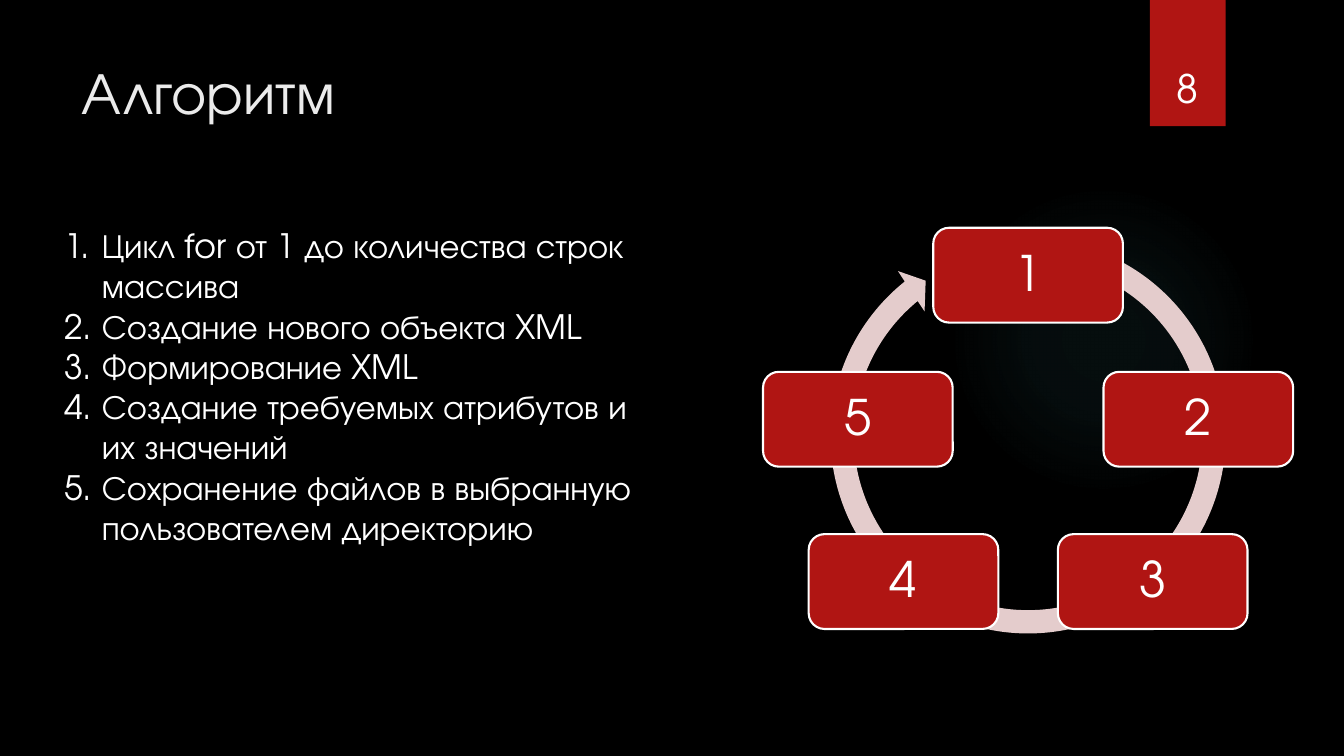
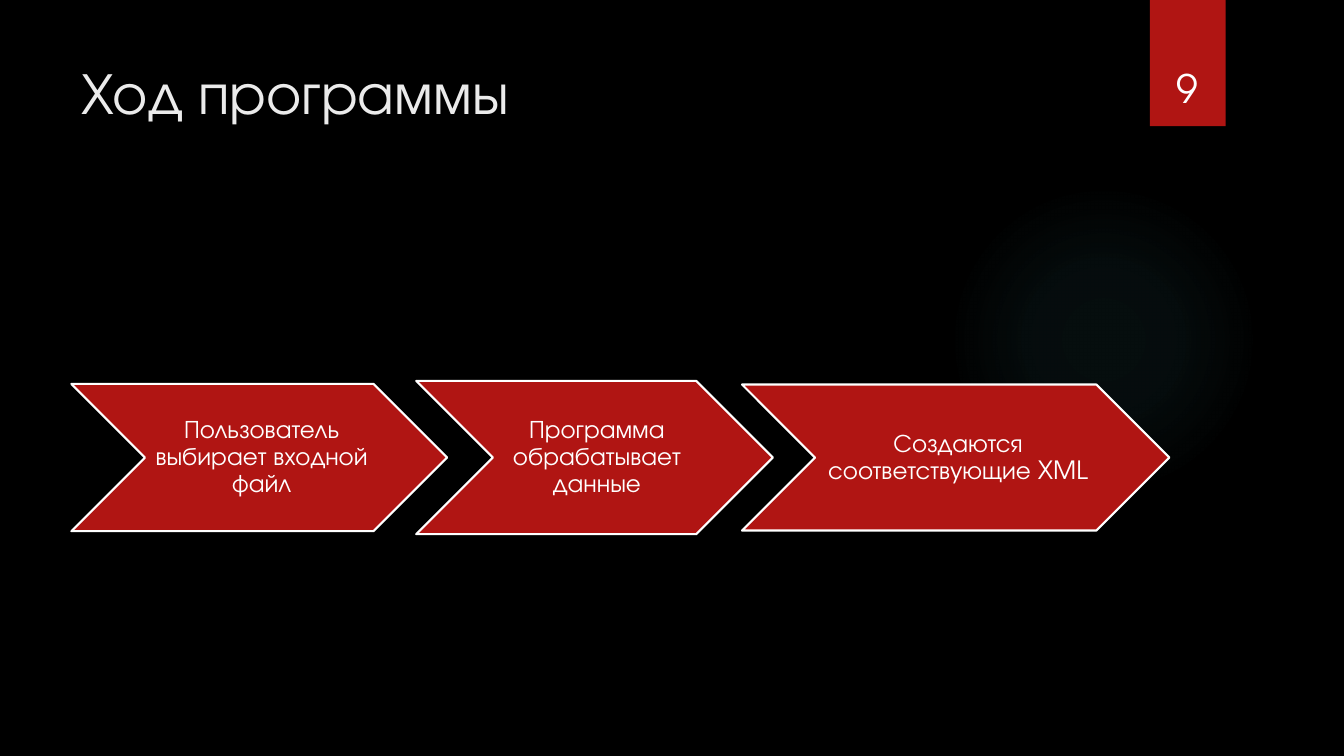
from pptx import Presentation
from pptx.dml.color import RGBColor
from pptx.enum.shapes import MSO_SHAPE as Shape
from pptx.enum.text import MSO_ANCHOR as Anchor, MSO_AUTO_SIZE as AutoSize, PP_ALIGN as Align
from pptx.oxml import parse_xml
from pptx.oxml.ns import nsdecls
from pptx.util import Cm, Pt

FONT = "TeX Gyre Adventor"
COLORS = {
    "background": "000000",
    "title": "EBEBEB",
    "text": "FFFFFF",
    "accent": "B01513",
    "ring": "E4CCCC",
    "glow": "50B9C1",
}
GLOW_STOPS = [(0, 7), (36, 6), (69, 0)]  # position and opacity, in percent

ALGORITHM_STEPS = [
    "Цикл for от 1 до количества строк массива",
    "Создание нового объекта XML",
    "Формирование XML",
    "Создание требуемых атрибутов и их значений",
    "Сохранение файлов в выбранную пользователем директорию",
]
CYCLE_AXIS = 25.91
CYCLE_NODES = [(0, 5.74), (4.29, 9.37), (3.14, 13.46), (-3.14, 13.46), (-4.29, 9.37)]
NODE_WIDTH, NODE_HEIGHT = 4.78, 2.39
RING_SIZE, RING_TOP = 10.59, 5.69
RING_ADJUSTMENTS = [0.05544, 3.3068, 138.638, 173.327, 0.05757]

PROGRAM_STAGES = [
    ("Пользователь выбирает входной файл", 9.47, 3.71),
    ("Программа обрабатывает данные", 8.99, 3.86),
    ("Создаются соответствующие XML", 10.77, 3.68),
]
STAGES_LEFT, STAGES_MIDDLE, STAGE_OVERLAP = 1.8, 11.53, 0.78


def color(name):
    return RGBColor.from_string(COLORS[name])


def add_span(para, text, size, color_name="text"):
    span = para.add_run()
    span.text = text
    span.font.name = FONT
    span.font.size = Pt(size)
    span.font.color.rgb = color(color_name)


def add_panel(page, kind, left, top, width, height, fill=None, outlined=False):
    """Add a preset shape without shadow; a fill of None leaves it to the caller."""
    panel = page.shapes.add_shape(kind, Cm(left), Cm(top), Cm(width), Cm(height))
    panel.shadow.inherit = False
    if fill:
        panel.fill.solid()
        panel.fill.fore_color.rgb = color(fill)
    if outlined:
        panel.line.color.rgb = color("text")
        panel.line.width = Pt(1.5)
    else:
        panel.line.fill.background()
    return panel


def add_label(panel, text, size, left_inset, inset):
    frame = panel.text_frame
    frame.word_wrap = True
    frame.vertical_anchor = Anchor.MIDDLE
    frame.margin_left = Cm(left_inset)
    frame.margin_right = frame.margin_top = frame.margin_bottom = Cm(inset)
    para = frame.paragraphs[0]
    para.alignment = Align.CENTER
    para.line_spacing = 0.9
    add_span(para, text, size)


def add_text_box(page, left, top, width, height):
    box = page.shapes.add_textbox(Cm(left), Cm(top), Cm(width), Cm(height))
    box.text_frame.word_wrap = True
    return box.text_frame


def add_glow(page):
    glow = add_panel(page, Shape.OVAL, 23.9, 4.65, 7.82, 7.82)
    stops = "".join(
        f'<a:gs pos="{position * 1000}"><a:srgbClr val="{COLORS["glow"]}">'
        f'<a:alpha val="{opacity * 1000}"/></a:srgbClr></a:gs>'
        for position, opacity in GLOW_STOPS
    )
    gradient = parse_xml(
        f'<a:gradFill {nsdecls("a")} rotWithShape="1"><a:gsLst>{stops}</a:gsLst>'
        '<a:path path="circle"><a:fillToRect l="50000" t="50000" r="50000" b="50000"/>'
        "</a:path></a:gradFill>"
    )
    glow._element.spPr.prstGeom.addnext(gradient)


def add_title(page, text):
    title = page.shapes.title
    title.left, title.top, title.width, title.height = Cm(1.8), Cm(1.27), Cm(26.14), Cm(3.89)
    frame = title.text_frame
    frame.auto_size = AutoSize.NONE
    frame.vertical_anchor = Anchor.TOP
    para = frame.paragraphs[0]
    para.alignment = Align.LEFT
    add_span(para, text, 42, "title")


def add_page_number(page, number):
    add_panel(page, Shape.RECTANGLE, 28.98, 0, 1.91, 3.18, "accent")
    frame = add_text_box(page, 28.75, 0.81, 2.34, 2.13)
    frame.vertical_anchor = Anchor.BOTTOM
    para = frame.paragraphs[0]
    para.alignment = Align.CENTER
    add_span(para, str(number), 28)


def add_page(deck, title, number):
    page = deck.slides.add_slide(deck.slide_layouts[5])
    add_glow(page)
    add_title(page, title)
    add_page_number(page, number)
    return page


def add_numbered_list(page, items):
    frame = add_text_box(page, 1.37, 5.54, 15.16, 9.5)
    for index, item in enumerate(items):
        para = frame.add_paragraph() if index else frame.paragraphs[0]
        properties = para._p.get_or_add_pPr()
        properties.set("marL", str(Cm(0.95)))
        properties.set("indent", str(-Cm(0.95)))
        properties.append(parse_xml(f'<a:buAutoNum {nsdecls("a")} type="arabicPeriod"/>'))
        add_span(para, item, 24)


def add_cycle(page):
    ring = add_panel(page, Shape.CIRCULAR_ARROW, CYCLE_AXIS - RING_SIZE / 2, RING_TOP,
                     RING_SIZE, RING_SIZE, "ring")
    for index, value in enumerate(RING_ADJUSTMENTS):
        ring.adjustments[index] = value
    for number, (offset, top) in enumerate(CYCLE_NODES, start=1):
        node = add_panel(page, Shape.ROUNDED_RECTANGLE, CYCLE_AXIS + offset - NODE_WIDTH / 2,
                         top, NODE_WIDTH, NODE_HEIGHT, "accent", outlined=True)
        add_label(node, str(number), 35, 0.38, 0.38)


def add_stages(page):
    left = STAGES_LEFT
    for text, width, height in PROGRAM_STAGES:
        stage = add_panel(page, Shape.CHEVRON, left, STAGES_MIDDLE - height / 2,
                          width, height, "accent", outlined=True)
        add_label(stage, text, 18, 0.2, 0.08)
        left += width - STAGE_OVERLAP


def main():
    deck = Presentation()
    deck.slide_width, deck.slide_height = Cm(33.87), Cm(19.05)
    background = deck.slide_master.background.fill
    background.solid()
    background.fore_color.rgb = color("background")

    algorithm_page = add_page(deck, "Алгоритм", 8)
    add_cycle(algorithm_page)
    add_numbered_list(algorithm_page, ALGORITHM_STEPS)

    program_page = add_page(deck, "Ход программы", 9)
    add_stages(program_page)

    deck.save("out.pptx")


if __name__ == "__main__":
    main()
